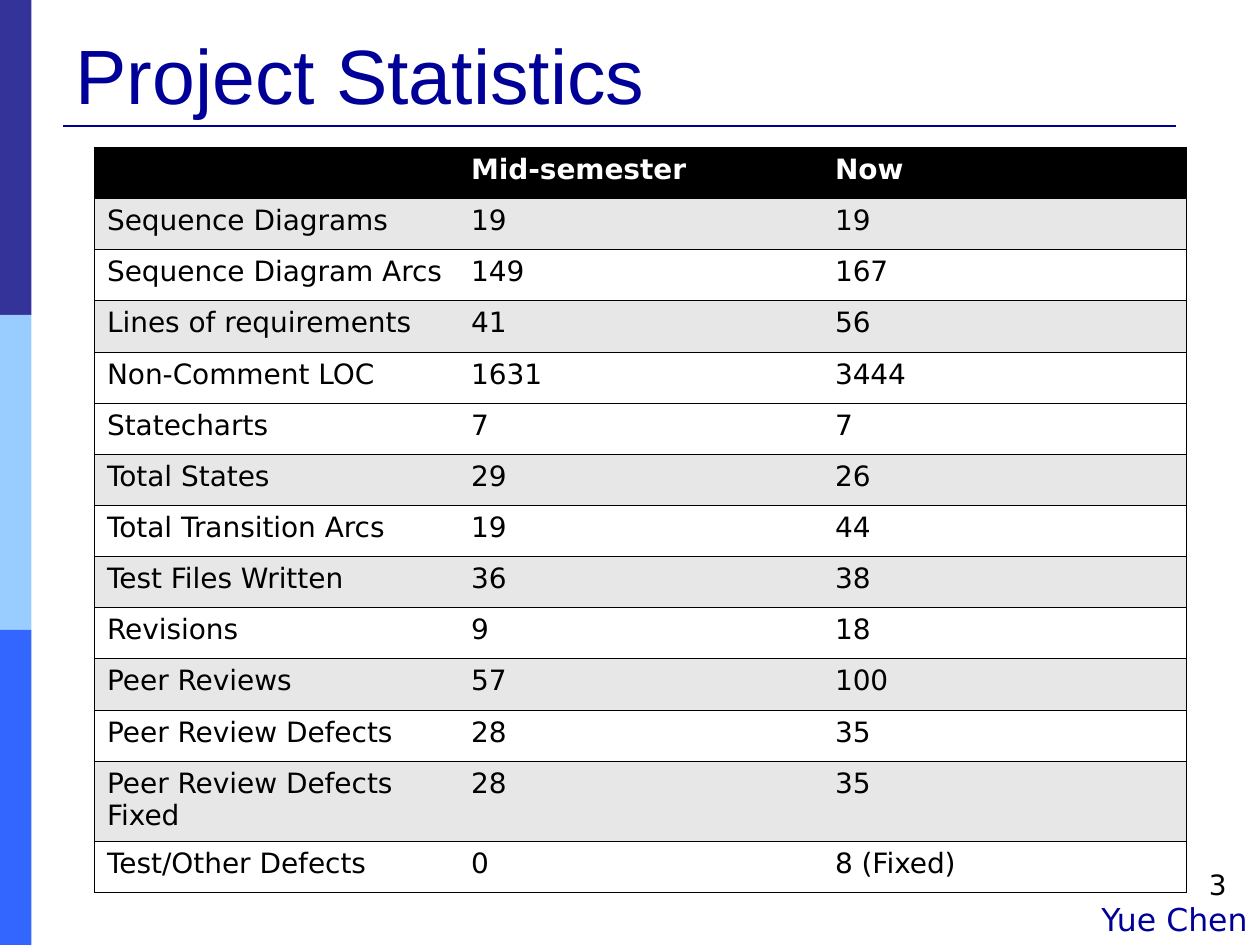
from lxml.etree import SubElement
from pptx import Presentation
from pptx.dml.color import RGBColor
from pptx.enum.shapes import MSO_CONNECTOR, MSO_SHAPE
from pptx.enum.text import MSO_ANCHOR, MSO_AUTO_SIZE, PP_ALIGN
from pptx.oxml import parse_xml
from pptx.oxml.ns import nsdecls, qn
from pptx.util import Pt

COLORS = {
    "navy": "000099", "indigo": "333399", "sky": "99CCFF", "blue": "3366FF",
    "black": "000000", "white": "FFFFFF", "band": "E7E7E7",
}
BODY_FONT = "DejaVu Sans"


def color(name):
    return RGBColor.from_string(COLORS[name])


def add_text(para, text, size, color_name, font=BODY_FONT, bold=False):
    span = para.add_run()
    span.text = text
    span.font.name = font
    span.font.size = Pt(size)
    span.font.bold = bold
    span.font.color.rgb = color(color_name)


deck = Presentation()
deck.slide_width, deck.slide_height = Pt(720), Pt(540)
page = deck.slides.add_slide(deck.slide_layouts[5])

# Sidebar bands
for index, name in enumerate(["indigo", "sky", "blue"]):
    band = page.shapes.add_shape(MSO_SHAPE.RECTANGLE, Pt(0), Pt(180 * index), Pt(18), Pt(180))
    band.shadow.inherit = False
    band.fill.solid()
    band.fill.fore_color.rgb = color(name)
    band.line.fill.background()

# Title and rule
title = page.shapes.title
title.left, title.top, title.width, title.height = Pt(36), Pt(12), Pt(648), Pt(60)
title.text_frame.vertical_anchor = MSO_ANCHOR.BOTTOM
title.text_frame.auto_size = MSO_AUTO_SIZE.NONE
title_para = title.text_frame.paragraphs[0]
title_para.alignment = PP_ALIGN.LEFT
add_text(title_para, "Project Statistics", 44, "navy", "Arial")

rule = page.shapes.add_connector(MSO_CONNECTOR.STRAIGHT, Pt(36), Pt(72), Pt(672), Pt(72))
rule.line.color.rgb = color("navy")
rule.line.width = Pt(1.5)
SubElement(rule._element.spPr, qn("a:effectLst"))

# Page number and author
for text, size, name, left, top, width, height in [
    ("3", 16, "black", 516, 492, 192, 36),
    ("Yue Chen", 18, "navy", 384, 511, 336, 29),
]:
    box = page.shapes.add_textbox(Pt(left), Pt(top), Pt(width), Pt(height))
    box.text_frame.word_wrap = True
    para = box.text_frame.paragraphs[0]
    para.alignment = PP_ALIGN.RIGHT
    add_text(para, text, size, name)

# Statistics table: label, mid-semester, now, row fill
rows = [
    ("", "Mid-semester", "Now", "black"),
    ("Sequence Diagrams", "19", "19", "band"),
    ("Sequence Diagram Arcs", "149", "167", "white"),
    ("Lines of requirements", "41", "56", "band"),
    ("Non-Comment LOC", "1631", "3444", "white"),
    ("Statecharts", "7", "7", "white"),
    ("Total States", "29", "26", "band"),
    ("Total Transition Arcs", "19", "44", "white"),
    ("Test Files Written", "36", "38", "band"),
    ("Revisions", "9", "18", "white"),
    ("Peer Reviews", "57", "100", "band"),
    ("Peer Review Defects", "28", "35", "white"),
    ("Peer Review Defects Fixed", "28", "35", "band"),
    ("Test/Other Defects", "0", "8 (Fixed)", "white"),
]
table = page.shapes.add_table(len(rows), 3, Pt(54), Pt(84.2), Pt(624), Pt(425.7)).table
for column in table.columns:
    column.width = Pt(208)

for row_index, (*texts, fill_name) in enumerate(rows):
    header = row_index == 0
    two_lines = texts[0] == "Peer Review Defects Fixed"
    table.rows[row_index].height = Pt(45.7 if two_lines else 29.23)
    for column_index, text in enumerate(texts):
        cell = table.cell(row_index, column_index)
        cell.fill.solid()
        cell.fill.fore_color.rgb = color(fill_name)
        if text:
            add_text(cell.text_frame.paragraphs[0], text, 16,
                     "white" if header else "black", bold=header)
        # Horizontal lines everywhere, vertical lines only on the outside
        visible = {"L": column_index == 0, "R": column_index == 2, "T": True, "B": True}
        for position, (side, shown) in enumerate(visible.items()):
            paint = (f'<a:solidFill><a:srgbClr val="{COLORS["black"]}"/></a:solidFill>'
                     if shown else "<a:noFill/>")
            border = parse_xml(f'<a:ln{side} {nsdecls("a")} w="{Pt(0.45)}">{paint}</a:ln{side}>')
            cell._tc.get_or_add_tcPr().insert(position, border)

deck.save("out.pptx")
